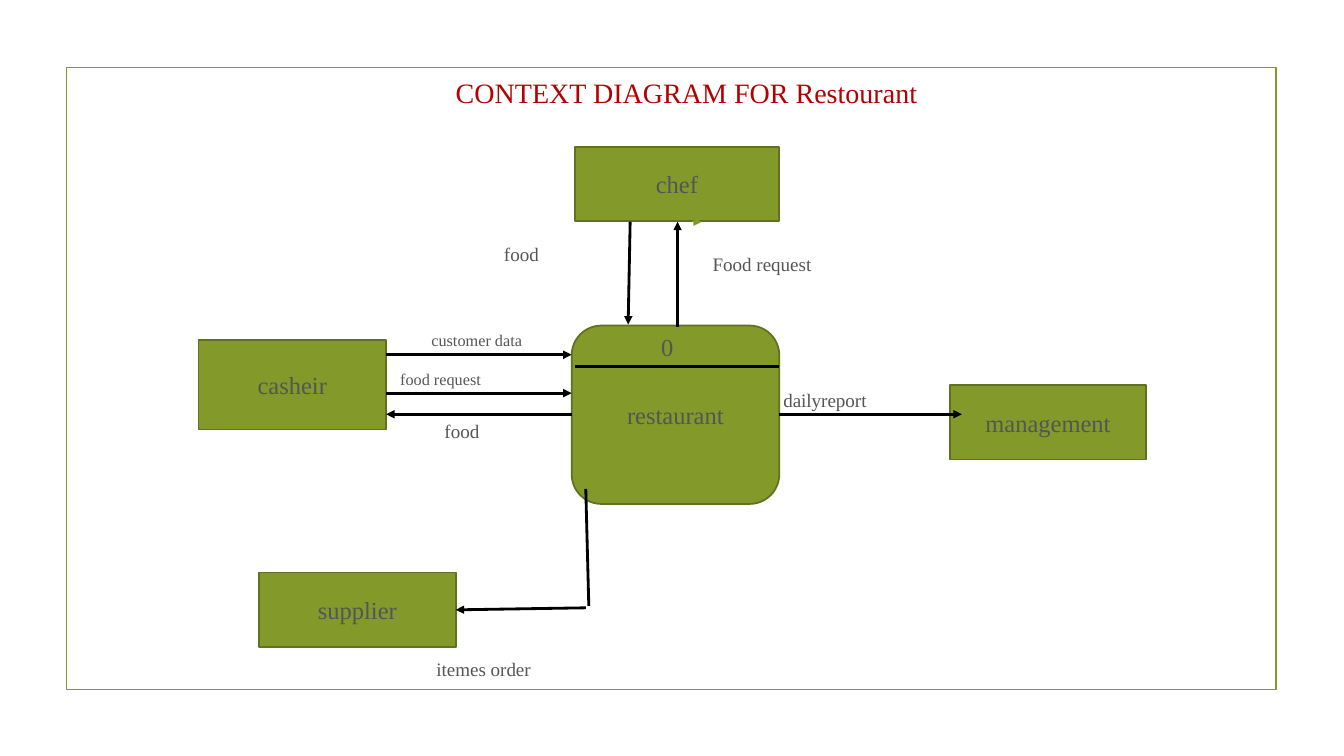
from lxml import etree
from pptx import Presentation
from pptx.dml.color import RGBColor
from pptx.enum.shapes import MSO_CONNECTOR, MSO_SHAPE
from pptx.enum.text import MSO_ANCHOR, PP_ALIGN
from pptx.oxml.ns import qn
from pptx.util import Inches, Pt

RECT = MSO_SHAPE.RECTANGLE
ROUNDED = MSO_SHAPE.ROUNDED_RECTANGLE
STRAIGHT = MSO_CONNECTOR.STRAIGHT
LEFT, CENTER = PP_ALIGN.LEFT, PP_ALIGN.CENTER
TOP, MIDDLE = MSO_ANCHOR.TOP, MSO_ANCHOR.MIDDLE

COLORS = {
    "olive": "83992A",
    "outline": "61711F",
    "title": "B30000",
    "text": "555555",
    "flow": "000000",
}
FONT = "Times New Roman"
NODE_SIZE, LABEL_SIZE, SMALL_SIZE = 17.5, 13.6, 11.6


class ContextDiagram:
    """Holds the slide and draws its elements in one style."""

    def __init__(self, slide):
        self.slide = slide

    def color(self, name):
        return RGBColor.from_string(COLORS[name])

    def set_text(self, shape, text, size, color="text", align=LEFT, anchor=TOP):
        frame = shape.text_frame
        frame.text = text
        frame.word_wrap = True
        frame.vertical_anchor = anchor
        paragraph = frame.paragraphs[0]
        paragraph.alignment = align
        paragraph.space_after = Pt(6)
        font = paragraph.runs[0].font
        font.name, font.size = FONT, Pt(size)
        font.color.rgb = self.color(color)

    def title(self, text, left, top, width, height):
        heading = self.slide.shapes.title
        heading.left, heading.top = Inches(left), Inches(top)
        heading.width, heading.height = Inches(width), Inches(height)
        self.set_text(heading, text, 20, "title")

    def box(self, left, top, width, height, line, kind=RECT):
        box = self.slide.shapes.add_shape(
            kind, Inches(left), Inches(top), Inches(width), Inches(height))
        box.shadow.inherit = False
        box.fill.background()
        box.line.color.rgb = self.color(line)
        box.line.width = Pt(1.25)
        return box

    def node(self, text, left, top, width, height, kind=RECT):
        node = self.box(left, top, width, height, "outline", kind)
        node.fill.solid()
        node.fill.fore_color.rgb = self.color("olive")
        self.set_text(node, text, NODE_SIZE, align=CENTER, anchor=MIDDLE)

    def label(self, text, left, top, width, height, size=LABEL_SIZE):
        label = self.slide.shapes.add_textbox(
            Inches(left), Inches(top), Inches(width), Inches(height))
        self.set_text(label, text, size)

    def line(self, start, end, arrow=True, color="flow", weight=2):
        line = self.slide.shapes.add_connector(
            STRAIGHT, *(Inches(value) for value in (*start, *end)))
        line.line.color.rgb = self.color(color)
        line.line.width = Pt(weight)
        properties = line._element.spPr
        if arrow:
            etree.SubElement(properties.find(qn("a:ln")), qn("a:tailEnd"),
                             type="triangle")
        etree.SubElement(properties, qn("a:effectLst"))


def main():
    deck = Presentation()
    deck.slide_width, deck.slide_height = Inches(13.33), Inches(7.5)
    diagram = ContextDiagram(deck.slides.add_slide(deck.slide_layouts[5]))

    # Frame and title
    diagram.box(0.66, 0.67, 12, 6.17, "olive")
    diagram.title("CONTEXT DIAGRAM FOR Restourant", 4.42, 0.7, 5.12, 0.82)

    # Central process, with its number above a divider
    diagram.node("restaurant", 5.67, 3.23, 2.06, 1.77, ROUNDED)
    diagram.line((5.7, 3.64), (7.73, 3.64), arrow=False)
    diagram.label("0", 6.46, 3.24, 1.21, 0.4, NODE_SIZE)

    # External entities
    diagram.node("chef", 5.7, 1.46, 2.03, 0.73)
    diagram.node("casheir", 1.97, 3.37, 1.86, 0.89)
    diagram.node("management", 9.42, 3.82, 1.95, 0.74)
    diagram.node("supplier", 2.57, 5.68, 1.95, 0.74)

    # Flows with the cashier
    cashier_edge, process_edge = 3.83, 5.67
    for y in (3.52, 3.9):
        diagram.line((cashier_edge, y), (process_edge, y))
    diagram.line((process_edge, 4.11), (cashier_edge, 4.11))
    diagram.label("customer data", 4.18, 3.23, 1.47, 0.3, SMALL_SIZE)
    diagram.label("food request", 3.87, 3.61, 1.79, 0.3, SMALL_SIZE)
    diagram.label("food", 4.31, 4.11, 1.35, 0.33)

    # Flows with the chef
    diagram.line((6.25, 2.2), (6.23, 3.22))
    diagram.line((6.86, 2.2), (6.96, 2.2), color="olive", weight=0.75)
    diagram.line((6.72, 3.24), (6.72, 2.2))
    diagram.label("food", 4.9, 2.36, 1.35, 0.33)
    diagram.label("Food request", 6.97, 2.46, 1.38, 0.33)

    # Flow to management
    diagram.line((7.73, 4.11), (9.54, 4.11))
    diagram.label("dailyreport", 7.67, 3.8, 2.02, 0.33)

    # Flow to the supplier, in two legs
    diagram.line((5.81, 4.85), (5.84, 6.01), arrow=False)
    diagram.line((5.81, 6.03), (4.52, 6.05))
    diagram.label("itemes order", 4.23, 6.47, 2.02, 0.33)

    deck.save("out.pptx")


if __name__ == "__main__":
    main()
